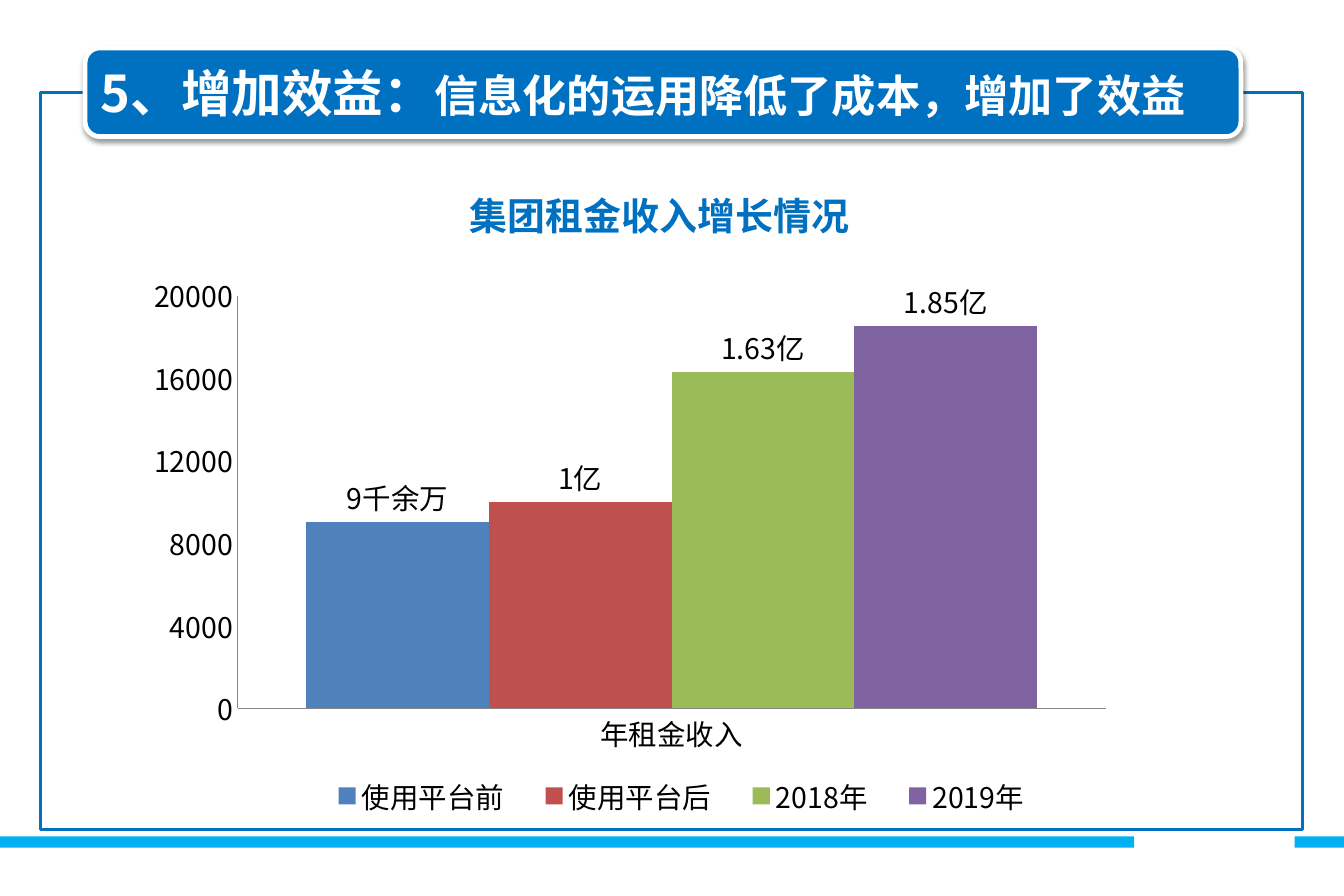
import pptx
import pptx.chart.data
import pptx.dml.color
import pptx.enum.chart
import pptx.enum.shapes
import pptx.enum.text
import pptx.oxml
import pptx.oxml.ns
import pptx.util
from pptx.util import Cm

FACE = "Noto Sans CJK SC"
BLUE, SKY, WHITE, BLACK, GREY = "0070C0", "00B0F0", "FFFFFF", "000000", "868686"
SHAPES = pptx.enum.shapes.MSO_SHAPE

RENT = [
    ("使用平台前", 9000, "9千余万", "4F81BD"),
    ("使用平台后", 10000, "1亿", "C0504D"),
    ("2018年", 16300, "1.63亿", "9BBB59"),
    ("2019年", 18500, "1.85亿", "8064A2"),
]


def color(value):
    return pptx.dml.color.RGBColor.from_string(value)


def xml(tag, content="", **attributes):
    listed = " ".join(f'{name}="{value}"' for name, value in attributes.items())
    names = pptx.oxml.ns.nsdecls("a", "c")
    return pptx.oxml.parse_xml(f"<{tag} {names} {listed}>{content}</{tag}>")


def style(font, shade, size=None, bold=False):
    font.color.rgb = color(shade)
    font.bold = bold
    if size:
        font.size = pptx.util.Pt(size)
    font.name = FACE
    font._element.append(xml("a:ea", typeface=FACE))


def add_box(page, kind, box, fill=None, line=None, width=0):
    shape = page.shapes.add_shape(kind, *box)
    shape.shadow.inherit = False
    if fill:
        shape.fill.solid()
        shape.fill.fore_color.rgb = color(fill)
    else:
        shape.fill.background()
    if line:
        shape.line.color.rgb = color(line)
        shape.line.width = pptx.util.Pt(width)
    else:
        shape.line.fill.background()
    return shape


def add_footer(page, left, top, width, height):
    gap_start, gap_end = left + Cm(25.32), left + Cm(28.9)
    for start, end in ((left, gap_start), (gap_end, left + width)):
        add_box(page, SHAPES.RECTANGLE, (start, top, end - start, height), SKY)


def add_banner(page, box):
    banner = add_box(page, SHAPES.ROUNDED_RECTANGLE, box, BLUE, WHITE, 3)
    effects = banner._element.spPr.find(pptx.oxml.ns.qn("a:effectLst"))
    shade = '<a:srgbClr val="000000"><a:alpha val="38000"/></a:srgbClr>'
    effects.append(xml("a:outerShdw", shade, blurRad=40000, dist=20000,
                       dir=5400000, rotWithShape=0))
    frame = banner.text_frame
    frame.word_wrap = True
    frame.vertical_anchor = pptx.enum.text.MSO_ANCHOR.MIDDLE
    para = frame.paragraphs[0]
    para.alignment = pptx.enum.text.PP_ALIGN.LEFT
    style(para.font, WHITE, bold=True)
    for words, size in (("5、增加效益：", 32), ("信息化的运用降低了成本，增加了效益", 28)):
        span = para.add_run()
        span.text = words
        span.font.size = pptx.util.Pt(size)


def add_chart_heading(page, box):
    frame = page.shapes.add_textbox(*box).text_frame
    frame.word_wrap = False
    frame.auto_size = pptx.enum.text.MSO_AUTO_SIZE.SHAPE_TO_FIT_TEXT
    para = frame.paragraphs[0]
    para.text = "集团租金收入增长情况"
    para.line_spacing = 1.5
    style(para.font, BLUE, 24, True)


def manual_layout(left, top, width, height, target=""):
    parts = [("xMode", "edge"), ("yMode", "edge"),
             ("x", left), ("y", top), ("w", width), ("h", height)]
    if target:
        parts.insert(0, ("layoutTarget", target))
    inner = "".join(f'<c:{name} val="{value}"/>' for name, value in parts)
    return xml("c:layout", f"<c:manualLayout>{inner}</c:manualLayout>")


def place_chart_parts(chart):
    area = chart.element.xpath("c:chart/c:plotArea")[0]
    legend = chart.element.xpath("c:chart/c:legend")[0]
    for part in (area, legend):
        for layout in part.xpath("c:layout"):
            part.remove(layout)
    area.insert(0, manual_layout(0.1, 0.06, 0.88, 0.73, "inner"))
    legend.xpath("c:legendPos")[0].addnext(manual_layout(0.17, 0.9, 0.76, 0.09))


def add_rent_chart(page, box):
    kinds = pptx.enum.chart
    data = pptx.chart.data.CategoryChartData()
    data.categories = ["年租金收入"]
    for name, value, label, shade in RENT:
        data.add_series(name, [value])
    chart = page.shapes.add_chart(kinds.XL_CHART_TYPE.COLUMN_CLUSTERED, *box, data).chart
    chart.has_title = False
    style(chart.font, BLACK, 18)
    chart.has_legend = True
    chart.legend.position = kinds.XL_LEGEND_POSITION.BOTTOM
    chart.legend.include_in_layout = False

    for axis in (chart.category_axis, chart.value_axis):
        axis.has_major_gridlines = False
        axis.major_tick_mark = kinds.XL_TICK_MARK.NONE
        axis.format.line.color.rgb = color(GREY)
        axis.format.line.width = pptx.util.Pt(0.75)
    chart.value_axis.minimum_scale = 0
    chart.value_axis.maximum_scale = 20000
    chart.value_axis.major_unit = 4000

    plot = chart.plots[0]
    plot.gap_width = 75
    plot.overlap = 0
    plot.vary_by_categories = False
    for series, (name, value, label, shade) in zip(plot.series, RENT):
        series.format.fill.solid()
        series.format.fill.fore_color.rgb = color(shade)
        series.data_labels.show_value = True
        tag = series.points[0].data_label
        para = tag.text_frame.paragraphs[0]
        para.text = label
        style(para.font, BLACK, 18)
        tag.position = kinds.XL_LABEL_POSITION.OUTSIDE_END
    place_chart_parts(chart)


def main():
    deck = pptx.Presentation()
    deck.slide_width, deck.slide_height = Cm(30), Cm(20)
    page = deck.slides.add_slide(deck.slide_layouts[6])
    add_footer(page, 0, Cm(18.67), deck.slide_width, Cm(0.25))
    frame = (Cm(0.91), Cm(2.06), Cm(28.17), Cm(16.46))
    add_box(page, SHAPES.RECTANGLE, frame, line=BLUE, width=2)
    add_rent_chart(page, (Cm(3.1), Cm(5.84), Cm(22.02), Cm(12.62)))
    add_chart_heading(page, (Cm(10.24), Cm(3.66), Cm(9.07), Cm(1.63)))
    add_banner(page, (Cm(1.9), Cm(1.07), Cm(25.8), Cm(1.98)))
    deck.save("out.pptx")


if __name__ == "__main__":
    main()
